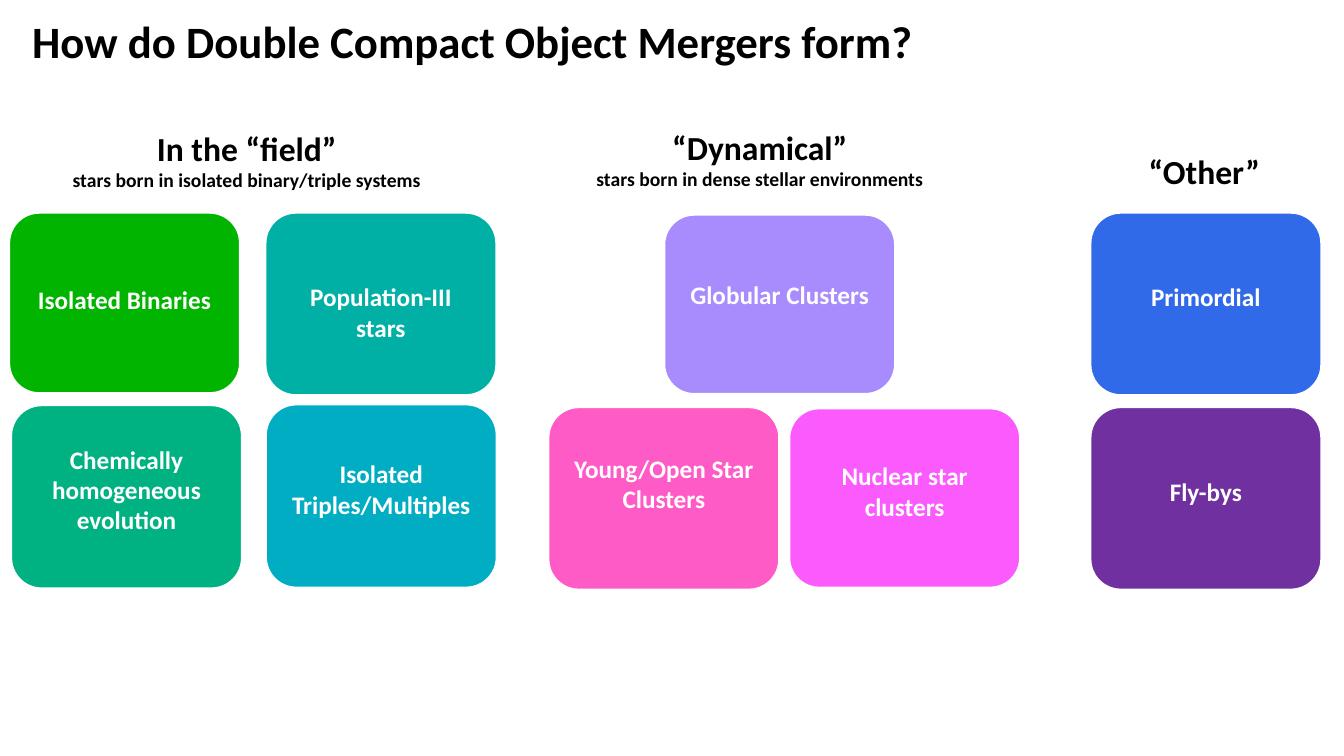
from dataclasses import dataclass

from pptx import Presentation
from pptx.dml.color import RGBColor
from pptx.enum.shapes import MSO_SHAPE
from pptx.enum.text import MSO_ANCHOR, MSO_AUTO_SIZE, PP_ALIGN
from pptx.slide import Slide
from pptx.text.text import _Paragraph
from pptx.util import Cm, Pt

FONT = "Calibri"
BLACK = RGBColor(0x00, 0x00, 0x00)
WHITE = RGBColor(0xFF, 0xFF, 0xFF)
GREEN = RGBColor(0x00, 0xB4, 0x00)
TEAL = RGBColor(0x00, 0xB0, 0xA5)
JADE = RGBColor(0x00, 0xB2, 0x81)
CYAN = RGBColor(0x00, 0xAD, 0xC3)
LAVENDER = RGBColor(0xA8, 0x8B, 0xFC)
PINK = RGBColor(0xFF, 0x5B, 0xC6)
MAGENTA = RGBColor(0xFB, 0x5B, 0xFC)
BLUE = RGBColor(0x31, 0x6A, 0xE8)
PURPLE = RGBColor(0x70, 0x30, 0xA0)

CHANNEL_WIDTH = 5.82
INSET = 0.13


@dataclass(frozen=True)
class Channel:
    label: str
    left: float
    top: float
    height: float
    color: RGBColor
    lift: float = 0.18


@dataclass(frozen=True)
class Heading:
    lines: tuple[tuple[str, int], ...]
    left: float
    top: float
    width: float
    height: float
    align: PP_ALIGN = PP_ALIGN.CENTER


HEADINGS = (
    Heading((("How do Double Compact Object Mergers form?", 32),),
            0.56, 0.23, 33.2, 1.63, PP_ALIGN.LEFT),
    Heading((("In the “field”", 24),
             ("stars born in isolated binary/triple systems", 14)),
            0.38, 3.1, 11.68, 1.88),
    Heading((("“Dynamical”", 24),
             ("stars born in dense stellar environments", 14)),
            13.31, 3.07, 11.68, 1.88),
    Heading((("“Other”", 24),), 28.7, 3.68, 5.1, 1.27, PP_ALIGN.LEFT),
)

CHANNELS = (
    Channel("Isolated Binaries", 0.23, 5.36, 4.55, GREEN, 0.1),
    Channel("Population-III stars", 6.69, 5.36, 4.6, TEAL, -0.2),
    Channel("Chemically homogeneous evolution", 0.28, 10.21, 4.62, JADE),
    Channel("Isolated Triples/Multiples", 6.7, 10.19, 4.62, CYAN),
    Channel("Globular Clusters", 16.74, 5.41, 4.52, LAVENDER, 0.25),
    Channel("Young/Open Star Clusters", 13.82, 10.26, 4.6, PINK, 0.37),
    Channel("Nuclear star clusters", 19.89, 10.29, 4.52, MAGENTA),
    Channel("Primordial", 27.48, 5.36, 4.6, BLUE),
    Channel("Fly-bys", 27.48, 10.26, 4.6, PURPLE),
)


def write(p: _Paragraph, text: str, size: int, color: RGBColor, align: PP_ALIGN) -> None:
    p.add_run().text = text
    p.alignment = align
    p.font.name = FONT
    p.font.size = Pt(size)
    p.font.bold = True
    p.font.color.rgb = color


def draw_heading(s: Slide, heading: Heading) -> None:
    sp = s.shapes.add_textbox(Cm(heading.left), Cm(heading.top),
                              Cm(heading.width), Cm(heading.height))
    tf = sp.text_frame
    tf.word_wrap = True
    tf.auto_size = MSO_AUTO_SIZE.SHAPE_TO_FIT_TEXT
    for i, (text, size) in enumerate(heading.lines):
        p = tf.add_paragraph() if i else tf.paragraphs[0]
        write(p, text, size, BLACK, heading.align)


def draw_channel(s: Slide, channel: Channel) -> None:
    sp = s.shapes.add_shape(MSO_SHAPE.ROUNDED_RECTANGLE, Cm(channel.left), Cm(channel.top),
                            Cm(CHANNEL_WIDTH), Cm(channel.height))
    sp.shadow.inherit = False
    sp.fill.solid()
    sp.fill.fore_color.rgb = channel.color
    sp.line.color.rgb = WHITE
    sp.line.width = Pt(1.5)
    tf = sp.text_frame
    tf.word_wrap = True
    tf.vertical_anchor = MSO_ANCHOR.MIDDLE
    tf.margin_top = Cm(INSET + 2 * max(-channel.lift, 0))
    tf.margin_bottom = Cm(INSET + 2 * max(channel.lift, 0))
    write(tf.paragraphs[0], channel.label, 18, WHITE, PP_ALIGN.CENTER)


def main() -> None:
    prs = Presentation()
    prs.slide_width = Cm(33.87)
    prs.slide_height = Cm(19.05)
    s = prs.slides.add_slide(prs.slide_layouts[6])
    for heading in HEADINGS:
        draw_heading(s, heading)
    for channel in CHANNELS:
        draw_channel(s, channel)
    prs.save("out.pptx")


if __name__ == "__main__":
    main()
